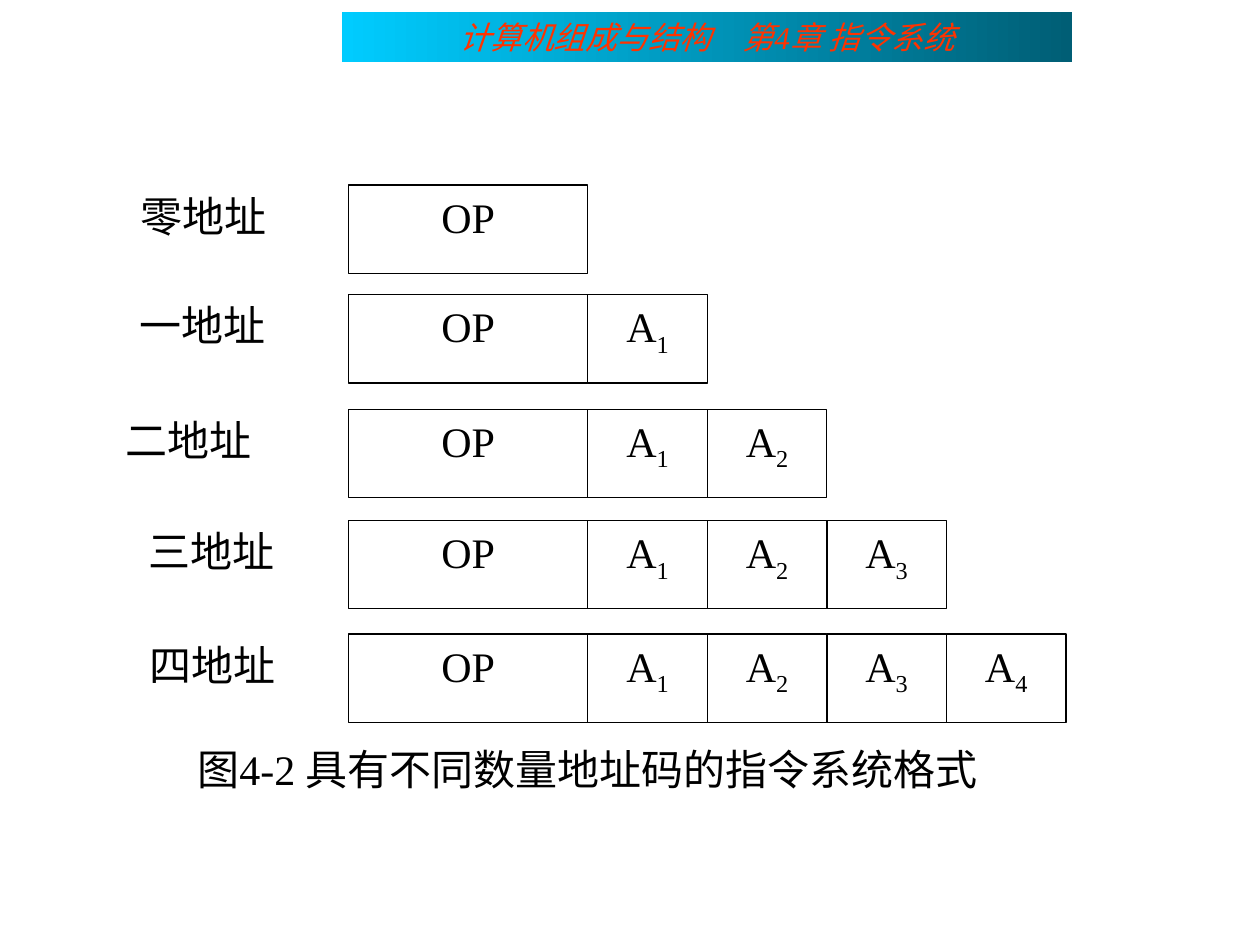
from pptx import Presentation
from pptx.dml.color import RGBColor
from pptx.enum.shapes import MSO_SHAPE
from pptx.enum.text import MSO_ANCHOR, MSO_AUTO_SIZE, PP_ALIGN
from pptx.util import Cm, Pt

COLORS = {
    "ink": "000000",
    "cell": "FFFFFF",
    "banner_text": "FF3300",
    "banner_dark": "005E75",
    "banner_light": "00CCFF",
}

# Instruction formats: label, label left, row top (cm)
FORMATS = [
    ("零地址", 2.59, 3.73),
    ("一地址", 2.57, 5.94),
    ("二地址", 2.29, 8.25),
    ("三地址", 2.74, 10.49),
    ("四地址", 2.77, 12.78),
]
OP_LEFT, OP_WIDTH, ADDRESS_WIDTH, CELL_HEIGHT = 7.03, 4.82, 2.41, 1.78


def rgb(name):
    return RGBColor.from_string(COLORS[name])


class FormatSlide:
    font_name = "Times New Roman"
    text_size = 24

    def __init__(self, presentation):
        self.slide = presentation.slides.add_slide(presentation.slide_layouts[5])

    def style(self, paragraph, align, size=text_size, color="ink"):
        paragraph.alignment = align
        paragraph.font.name = self.font_name
        paragraph.font.size = Pt(size)
        paragraph.font.color.rgb = rgb(color)

    def banner(self, text, left, top, width, height):
        title = self.slide.shapes.title
        title.left, title.top = Cm(left), Cm(top)
        title.width, title.height = Cm(width), Cm(height)
        title.fill.gradient()
        title.fill.gradient_angle = 180
        for stop, name in zip(title.fill.gradient_stops, ("banner_dark", "banner_light")):
            stop.color.rgb = rgb(name)
        frame = title.text_frame
        frame.text = text
        frame.auto_size = MSO_AUTO_SIZE.NONE
        frame.vertical_anchor = MSO_ANCHOR.MIDDLE
        self.style(frame.paragraphs[0], PP_ALIGN.CENTER, 18, "banner_text")
        frame.paragraphs[0].font.italic = True

    def label(self, text, left, top, width, height, align, spacing=1.0):
        box = self.slide.shapes.add_textbox(Cm(left), Cm(top), Cm(width), Cm(height))
        frame = box.text_frame
        frame.word_wrap = True
        frame.text = text
        self.style(frame.paragraphs[0], align)
        frame.paragraphs[0].line_spacing = spacing

    def cell(self, text, left, top, width, subscript=""):
        field = self.slide.shapes.add_shape(
            MSO_SHAPE.RECTANGLE, Cm(left), Cm(top), Cm(width), Cm(CELL_HEIGHT))
        field.shadow.inherit = False
        field.fill.solid()
        field.fill.fore_color.rgb = rgb("cell")
        field.line.color.rgb = rgb("ink")
        field.line.width = Pt(0.75)
        frame = field.text_frame
        frame.vertical_anchor = MSO_ANCHOR.TOP
        frame.text = text
        paragraph = frame.paragraphs[0]
        self.style(paragraph, PP_ALIGN.CENTER)
        if subscript:
            index = paragraph.add_run()
            index.text = subscript
            index._r.get_or_add_rPr().set("baseline", "-25000")


def main():
    presentation = Presentation()
    presentation.slide_width, presentation.slide_height = Cm(25.4), Cm(19.05)
    page = FormatSlide(presentation)

    # Chapter banner
    page.banner("计算机组成与结构　第4章 指令系统", 6.9, 0.24, 14.71, 1.01)

    # One row per format, each with one more address field than the last
    for address_count, (name, name_left, top) in enumerate(FORMATS):
        page.label(name, name_left, top + 0.05, 4.27, 1.47, PP_ALIGN.JUSTIFY, 0.96)
        page.cell("OP", OP_LEFT, top, OP_WIDTH)
        for position in range(address_count):
            left = OP_LEFT + OP_WIDTH + position * ADDRESS_WIDTH
            page.cell("A", left, top, ADDRESS_WIDTH, str(position + 1))

    # Figure caption
    page.label("图4-2 具有不同数量地址码的指令系统格式",
               2.46, 14.86, 18.77, 1.85, PP_ALIGN.CENTER)

    presentation.save("out.pptx")


if __name__ == "__main__":
    main()
